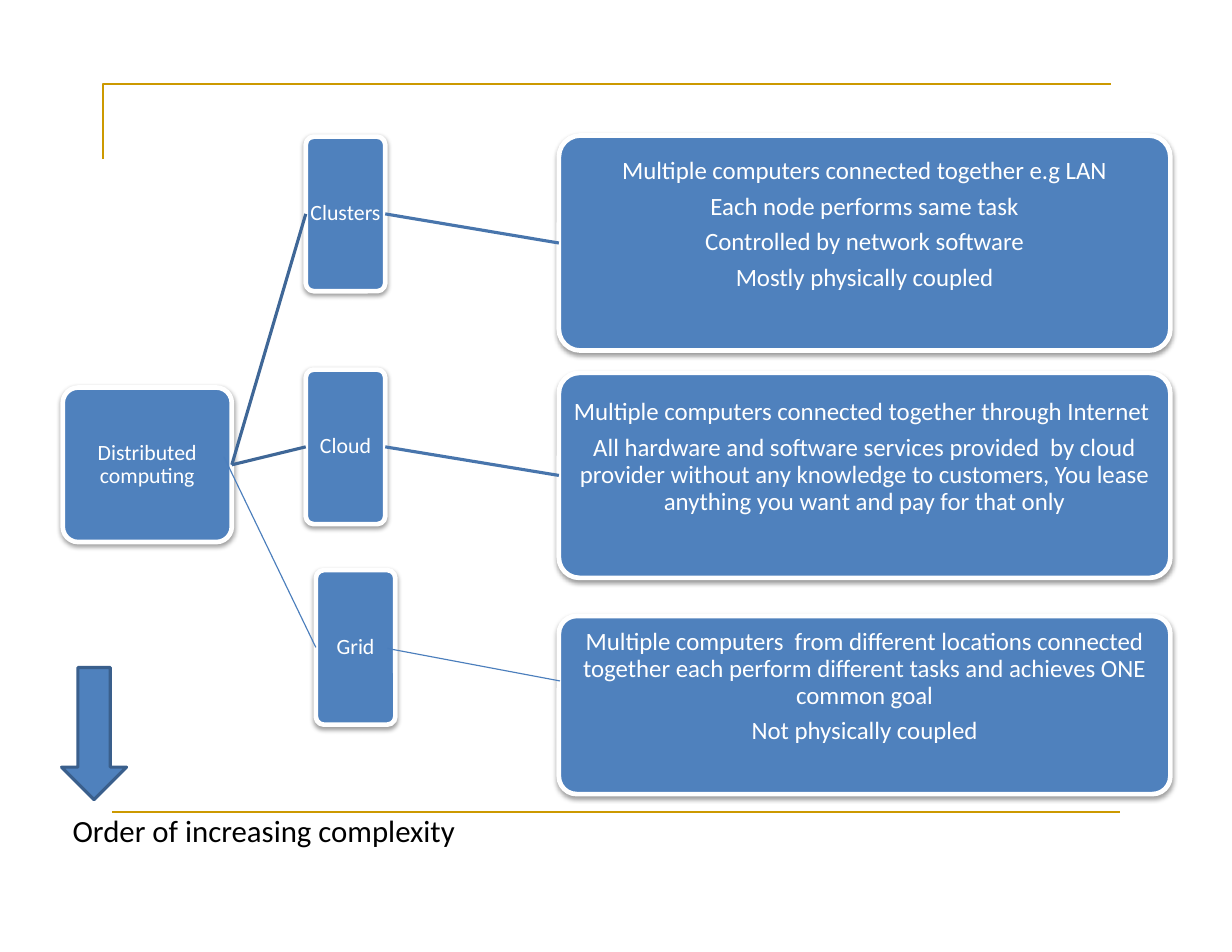
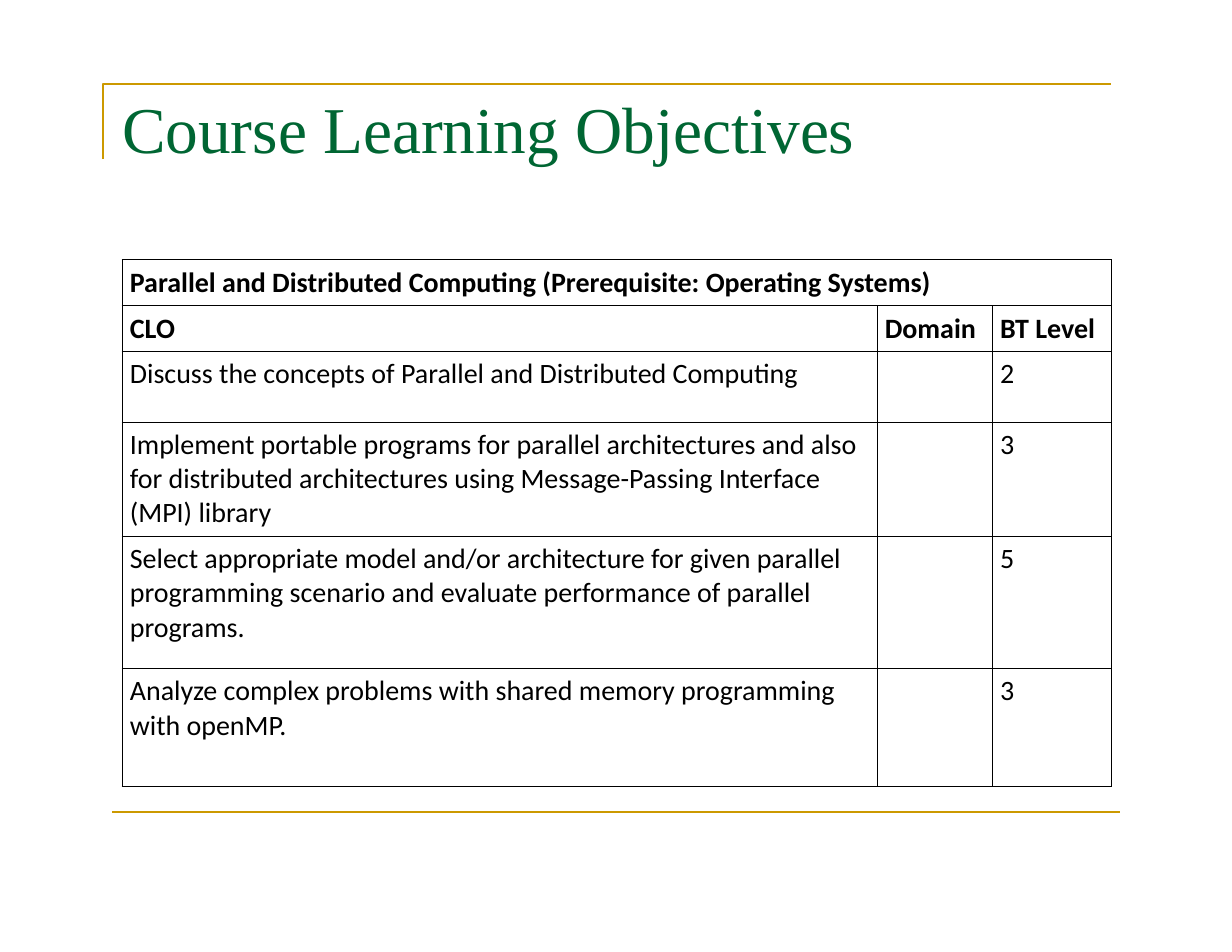
from lxml import etree
from pptx import Presentation
from pptx import util as u
from pptx.dml.color import RGBColor
from pptx.enum import shapes, text
from pptx.oxml import ns

PX = 9144
HUE = {
    "gold": "CC9900", "green": "006633", "blue": "4F81BD", "white": "FFFFFF",
    "black": "000000", "trunk": "3F6797", "branch": "4875AC",
    "thin": "4B7EBC", "edge": "3A5F8C",
}
BODY = "Calibri"


def say(para, words, size, hue, face=BODY, bold=False):
    run = para.add_run()
    run.text = words
    run.font.size = u.Pt(size)
    run.font.name = face
    run.font.bold = bold
    run.font.color.rgb = RGBColor.from_string(HUE[hue])


def link(slide, ends, hue, width):
    wire = slide.shapes.add_connector(
        shapes.MSO_CONNECTOR.STRAIGHT, *[n * PX for n in ends])
    wire.line.color.rgb = RGBColor.from_string(HUE[hue])
    wire.line.width = u.Pt(width)
    etree.SubElement(wire.element.spPr, ns.qn("a:effectLst"))
    return wire


deck = Presentation()
deck.slide_width = 1100 * PX
deck.slide_height = 850 * PX
tree = deck.slides.add_slide(deck.slide_layouts[6])
goals = deck.slides.add_slide(deck.slide_layouts[5])

# Shared frame lines live on the master.
pen = tree.shapes.build_freeform(92, 142, scale=PX)
pen.add_line_segments([(92, 75), (992, 75)], close=False)
frame = pen.convert_to_shape()
frame.shadow.inherit = False
frame.fill.background()
frame.line.color.rgb = RGBColor.from_string(HUE["gold"])
frame.line.width = u.Pt(1.44)
foot = link(tree, (100, 725, 1000, 725), "gold", 1.44)
for num, part in enumerate((frame, foot), 50):
    part.element.xpath(".//p:cNvPr")[0].set("id", str(num))
    deck.slide_master.shapes.element.append(part.element)

nodes = {
    "root": (56, 346, 151, 138, 14, ["Distributed computing"]),
    "clusters": (273, 122, 71, 138, 14, ["Clusters"]),
    "cloud": (273, 330, 71, 138, 14, ["Cloud"]),
    "grid": (282, 509, 71, 138, 14, ["Grid"]),
    "clusters info": (499, 121, 546, 192, 16, [
        "Multiple computers connected together e.g LAN",
        "Each node performs same task",
        "Controlled by network software",
        "Mostly physically coupled"]),
    "cloud info": (499, 333, 546, 183, 16, [
        "Multiple computers connected together through Internet ",
        "All hardware and software services provided  by cloud provider without "
        "any knowledge to customers, You lease anything you want and pay for "
        "that only"]),
    "grid info": (499, 550, 546, 159, 16, [
        "Multiple computers  from different locations connected together each "
        "perform different tasks and achieves ONE common goal",
        "Not physically coupled"]),
}
boxes = {}
for name, (left, top, wide, high, size, lines) in nodes.items():
    box = tree.shapes.add_shape(
        shapes.MSO_SHAPE.ROUNDED_RECTANGLE, left * PX, top * PX, wide * PX, high * PX)
    boxes[name] = box
    box.adjustments[0] = 0.1
    box.fill.solid()
    box.fill.fore_color.rgb = RGBColor.from_string(HUE["blue"])
    box.line.color.rgb = RGBColor.from_string(HUE["white"])
    box.line.width = u.Pt(3)
    box.shadow.inherit = False
    glow = etree.SubElement(
        box.element.spPr.find(ns.qn("a:effectLst")), ns.qn("a:outerShdw"),
        blurRad="40000", dist="20000", dir="5400000", rotWithShape="0")
    tint = etree.SubElement(glow, ns.qn("a:srgbClr"), val=HUE["black"])
    etree.SubElement(tint, ns.qn("a:alpha"), val="38000")
    body = box.text_frame
    body.word_wrap = True
    body.vertical_anchor = text.MSO_ANCHOR.MIDDLE
    body.margin_left = body.margin_right = body.margin_top = PX
    body.margin_bottom = (33 if name.endswith("info") else 1) * PX
    for row, words in enumerate(lines):
        para = body.add_paragraph() if row else body.paragraphs[0]
        para.alignment = text.PP_ALIGN.CENTER
        para.line_spacing = 0.9
        para.space_after = u.Pt(size * 0.35)
        say(para, words, size, "white")

for name in ("clusters", "cloud"):
    for start, end, hue in (("root", name, "trunk"), (name, name + " info", "branch")):
        wire = link(tree, (0, 0, 0, 0), hue, 2)
        wire.begin_connect(boxes[start], 3)
        wire.end_connect(boxes[end], 1)
link(tree, (346, 579, 500, 608), "thin", 0.75)
link(tree, (200, 408, 283, 579), "thin", 0.75).end_connect(boxes["grid"], 1)

note = tree.shapes.add_textbox(55 * PX, 720 * PX, 394 * PX, 43 * PX).text_frame
note.word_wrap = True
say(note.paragraphs[0], "Order of increasing complexity", 19.8, "black")

arrow = tree.shapes.add_shape(
    shapes.MSO_SHAPE.DOWN_ARROW, 55 * PX, 596 * PX, 58 * PX, 118 * PX)
arrow.shadow.inherit = False
arrow.fill.solid()
arrow.fill.fore_color.rgb = RGBColor.from_string(HUE["blue"])
arrow.line.color.rgb = RGBColor.from_string(HUE["edge"])
arrow.line.width = u.Pt(2)

title = goals.shapes.title
title.left, title.top, title.width, title.height = [n * PX for n in (109, 79, 883, 71)]
head = title.text_frame
head.margin_left = head.margin_right = head.margin_top = head.margin_bottom = 0
head.vertical_anchor = text.MSO_ANCHOR.TOP
head.auto_size = text.MSO_AUTO_SIZE.NONE
head.paragraphs[0].alignment = text.PP_ALIGN.LEFT
say(head.paragraphs[0], "Course Learning Objectives", 42, "green", "Times New Roman")

rows = [
    ("Parallel and Distributed Computing (Prerequisite: Operating Systems)", "", ""),
    ("CLO", "Domain", "BT Level"),
    ("Discuss the concepts of Parallel and Distributed Computing", "", "2"),
    ("Implement portable programs for parallel architectures and also for distributed "
     "architectures using Message-Passing Interface (MPI) library", "", "3"),
    ("Select appropriate model and/or architecture for given parallel programming "
     "scenario and evaluate performance of parallel programs.", "", "5"),
    ("Analyze complex problems with shared memory programming with openMP.", "", "3"),
]
wides = (674, 103, 106)
highs = (41, 41, 63, 102, 118, 105)
table = goals.shapes.add_table(
    len(rows), len(wides), 109 * PX, 232 * PX, sum(wides) * PX, sum(highs) * PX).table
table.first_row = table.horz_banding = False
for col, wide in zip(table.columns, wides):
    col.width = wide * PX
for row, high in zip(table.rows, highs):
    row.height = high * PX
for r, row in enumerate(rows):
    for c, words in enumerate(row):
        cell = table.cell(r, c)
        cell.margin_left = cell.margin_right = 7 * PX
        cell.margin_top = cell.margin_bottom = 5 * PX
        props = cell._tc.get_or_add_tcPr()
        for side in ("lnL", "lnR", "lnT", "lnB"):
            edge = etree.SubElement(props, ns.qn("a:" + side), w="6350")
            ink = etree.SubElement(edge, ns.qn("a:solidFill"))
            etree.SubElement(ink, ns.qn("a:srgbClr"), val=HUE["black"])
        cell.fill.background()
        if words:
            say(cell.text_frame.paragraphs[0], words, 18, "black", bold=r < 2)
table.cell(0, 0).merge(table.cell(0, 2))

deck.save("out.pptx")
